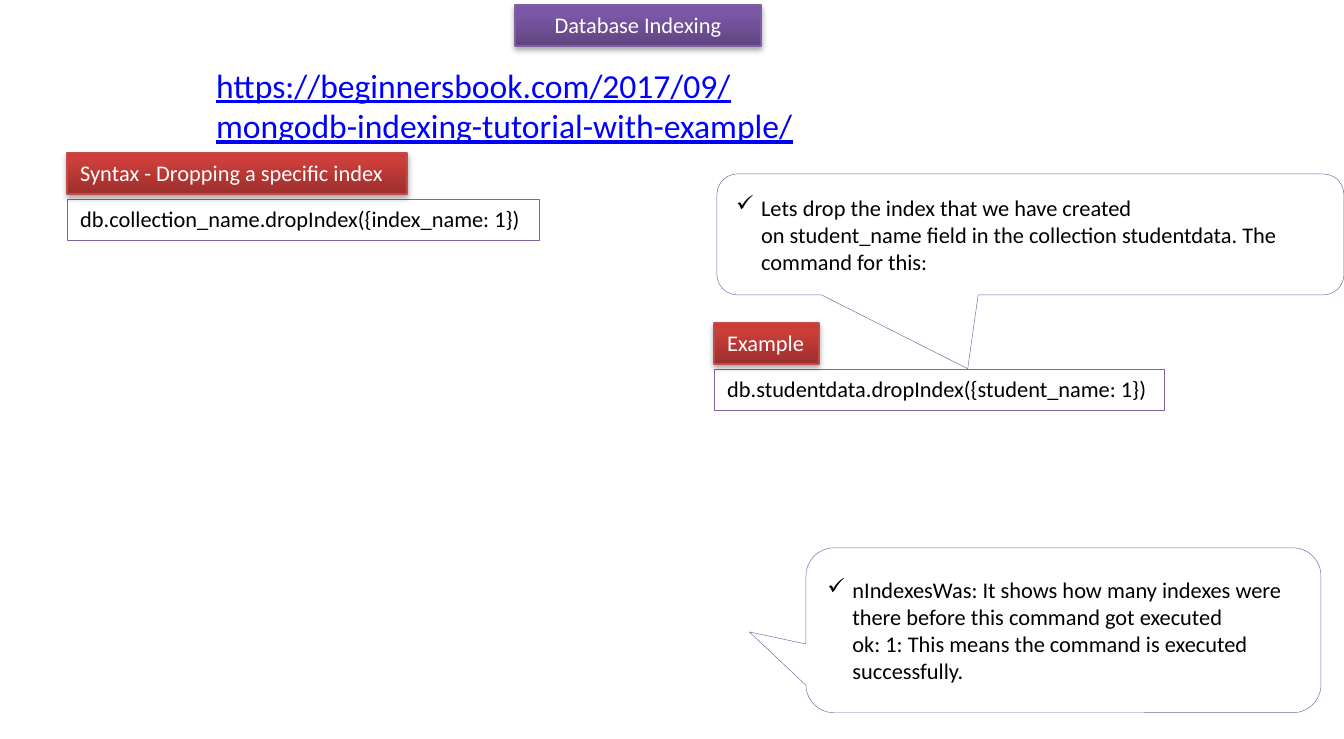
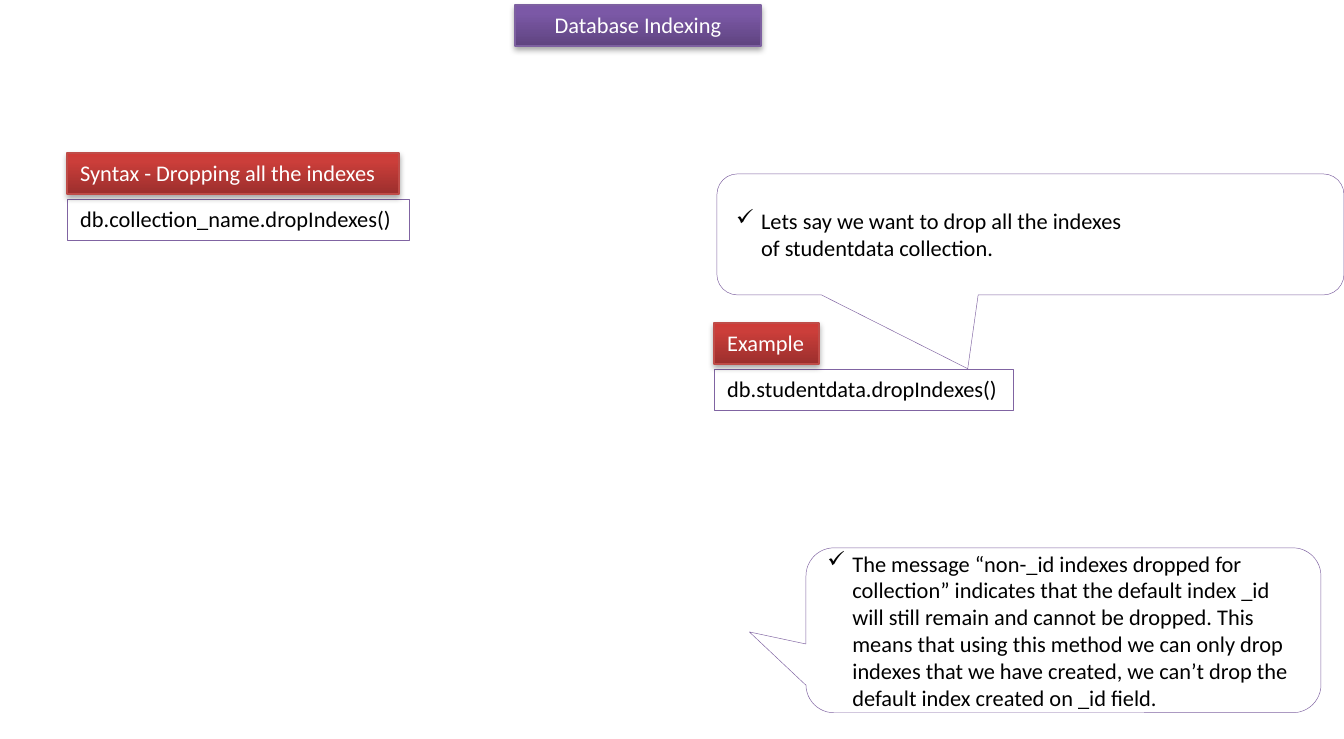
from copy import deepcopy

from lxml.etree import SubElement
from pptx import Presentation
from pptx.dml.color import RGBColor
from pptx.enum.shapes import MSO_SHAPE
from pptx.enum.text import MSO_ANCHOR, MSO_AUTO_SIZE, PP_ALIGN
from pptx.oxml.ns import qn
from pptx.util import Emu, Pt

FONT = "Calibri"
NBSP = chr(160)
WHITE = RGBColor(0xFF, 0xFF, 0xFF)
BLACK = RGBColor(0x00, 0x00, 0x00)
LINK_BLUE = RGBColor(0x00, 0x00, 0xFF)
OUTLINE = RGBColor(0x80, 0x64, 0xA2)
PURPLE_EDGE = RGBColor(0x7D, 0x60, 0xA0)
PURPLE_STOPS = (RGBColor(0x5F, 0x44, 0x80), RGBColor(0x7B, 0x58, 0xA6), RGBColor(0x7C, 0x57, 0xA8))
RED_EDGE = RGBColor(0xBF, 0x4C, 0x48)
RED_STOPS = (RGBColor(0x9C, 0x2F, 0x2D), RGBColor(0xCB, 0x3E, 0x3A), RGBColor(0xCE, 0x3B, 0x37))
STOP_POSITIONS = (0, 0.8, 1)

BAR_HEIGHT = 41
LABEL_TO_CODE = 46
SYNTAX_AT = (67, 153)
EXAMPLE_AT = (714, 323)
EXAMPLE_WIDTH = 105
BULLET_INDENT = 25

TASK_CALLOUT = ((717, 174, 627, 121), (-0.1, 1.11, 0.17))
RESULT_CALLOUT = ((806, 548, 515, 165), (-0.61, 0.01, 0.17))


def px(n):
    """Turn pixels into EMU."""
    return Emu(round(n * 914400 / 134.4))


def write(sp, text, color, size=12, align=PP_ALIGN.LEFT, wrap=True, anchor=MSO_ANCHOR.TOP):
    """Write one paragraph into a shape and return it."""
    tf = sp.text_frame
    tf.word_wrap = wrap
    tf.vertical_anchor = anchor
    p = tf.paragraphs[0]
    p.text = text
    p.alignment = align
    p.font.name = FONT
    p.font.size = Pt(size)
    p.font.color.rgb = color
    return p


def add_outlined(slide, kind, box, edge, width):
    """Add a white preset shape with a coloured outline."""
    sp = slide.shapes.add_shape(kind, *map(px, box))
    sp.shadow.inherit = False
    sp.fill.solid()
    sp.fill.fore_color.rgb = WHITE
    sp.line.color.rgb = edge
    sp.line.width = Pt(width)
    return sp


def add_gradient(sp, colors):
    """Fill a shape with a three-stop gradient, dark at the bottom."""
    sp.fill.gradient()
    sp.fill.gradient_angle = 90
    gs_list = sp._element.spPr.find(".//" + qn("a:gsLst"))
    gs_list.append(deepcopy(gs_list[-1]))
    for stop, position, color in zip(sp.fill.gradient_stops, STOP_POSITIONS, colors):
        stop.position = position
        stop.color.rgb = color


def add_shadow(sp):
    """Give a shape a soft shadow below it."""
    effects = sp._element.spPr.find(qn("a:effectLst"))
    shadow = SubElement(effects, qn("a:outerShdw"), blurRad="40000", dist="23000",
                        dir="5400000", rotWithShape="0")
    color = SubElement(shadow, qn("a:srgbClr"), val=str(BLACK))
    SubElement(color, qn("a:alpha"), val="35000")


def add_bar(slide, box, text, stops, edge, align=PP_ALIGN.LEFT, wrap=False):
    """Add a shaded heading bar."""
    sp = add_outlined(slide, MSO_SHAPE.RECTANGLE, box, edge, 0.75)
    add_gradient(sp, stops)
    add_shadow(sp)
    write(sp, text, WHITE, align=align, wrap=wrap)
    sp.text_frame.auto_size = MSO_AUTO_SIZE.SHAPE_TO_FIT_TEXT


def add_command(slide, at, label, label_width, code, code_width):
    """Add a red label with a command box under it."""
    x, y = at
    sp = add_outlined(slide, MSO_SHAPE.RECTANGLE,
                      (x, y + LABEL_TO_CODE, code_width, BAR_HEIGHT), OUTLINE, 0.25)
    write(sp, code, BLACK, wrap=False)
    sp.text_frame.auto_size = MSO_AUTO_SIZE.SHAPE_TO_FIT_TEXT
    add_bar(slide, (x, y, label_width, BAR_HEIGHT), label, RED_STOPS, RED_EDGE)


def add_callout(slide, place, text):
    """Add a rounded callout with a ticked remark."""
    box, adjustments = place
    sp = add_outlined(slide, MSO_SHAPE.ROUNDED_RECTANGULAR_CALLOUT, box, OUTLINE, 0.25)
    for i, value in enumerate(adjustments):
        sp.adjustments[i] = value
    p_pr = sp.text_frame.paragraphs[0]._p.get_or_add_pPr()
    p_pr.set("marL", str(px(BULLET_INDENT)))
    p_pr.set("indent", str(-px(BULLET_INDENT)))
    SubElement(p_pr, qn("a:buChar"), char="✓")
    write(sp, text, BLACK, anchor=MSO_ANCHOR.MIDDLE)


def add_address(slide, text):
    """Add the underlined web address."""
    sp = slide.shapes.add_textbox(*map(px, (203, 58, 672, 95)))
    p = write(sp, text, LINK_BLUE, size=18)
    p.font.underline = True


def add_index_slide(prs, syntax, example, task, result):
    """Add a slide on one way of dropping indexes."""
    slide = prs.slides.add_slide(prs.slide_layouts[6])
    add_bar(slide, (515, 5, 246, BAR_HEIGHT), "Database Indexing", PURPLE_STOPS, PURPLE_EDGE,
            PP_ALIGN.CENTER, True)
    add_command(slide, SYNTAX_AT, *syntax)
    add_command(slide, EXAMPLE_AT, "Example", EXAMPLE_WIDTH, *example)
    add_callout(slide, TASK_CALLOUT, task)
    add_callout(slide, RESULT_CALLOUT, result)
    return slide


def main():
    """Build and save the presentation."""
    prs = Presentation()
    prs.slide_width, prs.slide_height = px(1344), px(739.2)
    slide = add_index_slide(
        prs,
        ("Syntax - Dropping a specific index", 340,
         "db.collection_name.dropIndex({index_name: 1})", 472),
        ("db.studentdata.dropIndex({student_name: 1})", 450),
        f"Lets drop the index that we have created on{NBSP}student_name{NBSP}field in the"
        f" collection{NBSP}studentdata. The command for this:",
        "nIndexesWas: It shows how many indexes were there before this command got executed\n"
        "ok: 1: This means the command is executed successfully.")
    add_address(slide, "https://beginnersbook.com/2017/09/mongodb-indexing-tutorial-with-example/")
    add_index_slide(
        prs,
        ("Syntax - Dropping all the indexes", 332, "db.collection_name.dropIndexes()", 342),
        ("db.studentdata.dropIndexes()", 299),
        f"Lets say we want to drop all the indexes of{NBSP}studentdata{NBSP}collection.",
        "The message “non-_id indexes dropped for collection” indicates that the default index"
        " _id will still remain and cannot be dropped. This means that using this method we can"
        " only drop indexes that we have created, we can’t drop the default index created on"
        " _id field.")
    prs.save("out.pptx")


if __name__ == "__main__":
    main()
